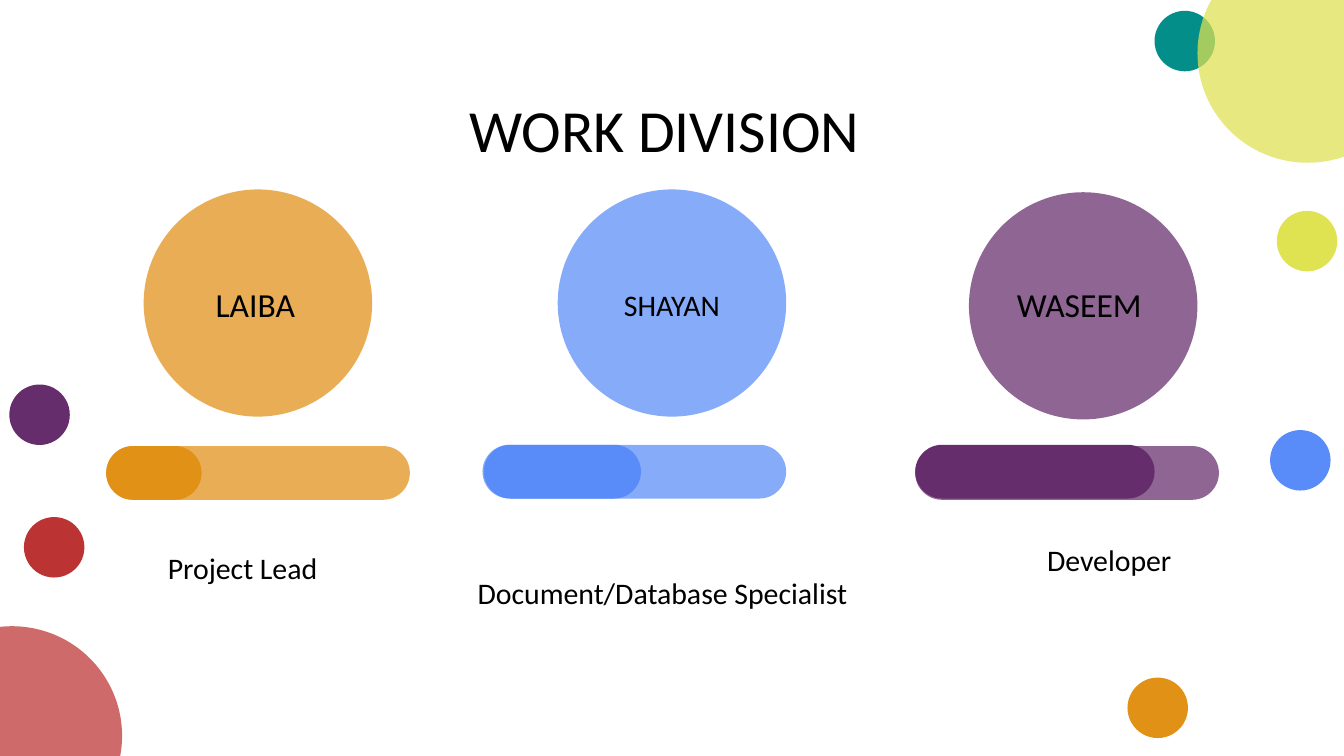
from dataclasses import dataclass

from lxml.etree import SubElement
from pptx import Presentation
from pptx.dml.color import RGBColor
from pptx.enum.shapes import MSO_SHAPE
from pptx.enum.text import MSO_ANCHOR, PP_ALIGN
from pptx.oxml.ns import qn
from pptx.util import Pt


@dataclass(frozen=True)
class Theme:
    font: str = "Calibri"
    ink: str = "000000"
    orange: str = "E19116"
    blue: str = "598CF8"
    purple: str = "652D6B"
    red: str = "BC3334"
    teal: str = "038E8A"
    lime: str = "DFE251"
    heading: int = 32
    name: int = 18
    body: int = 16
    tint: int = 73  # opacity of pale shapes, percent


@dataclass(frozen=True)
class Box:
    left: float
    top: float
    width: float
    height: float

    def within(self, left, top, width, height):
        """Return a box whose offset is measured from this one."""
        return Box(self.left + left, self.top + top, width, height)

    def lengths(self):
        return [Pt(n) for n in (self.left, self.top, self.width, self.height)]


@dataclass(frozen=True)
class Member:
    name: str
    role: str
    color: str
    name_size: int
    share: float       # width of the filled part of the bar
    share_at: tuple    # offsets from the column's corner
    circle_at: tuple
    bar_at: tuple
    name_at: tuple
    role_at: tuple
    role_width: float


THEME = Theme()
SLIDE = Box(0, 0, 720, 405)
DOT = 32.4
BAR_HEIGHT = 28.8
COLUMN_TOP = 101.5

# Each column starts at the left end of its bar
TEAM = [
    (56.9, Member("LAIBA", "Project Lead", THEME.orange, THEME.name, 51.1,
                  (0, 137.5), (20.1, 0), (0, 137.5), (-5.1, 38.9), (-49.7, 193), 245.5)),
    (258.5, Member("SHAYAN", "Document/Database Specialist", THEME.blue, THEME.body, 84.2,
                   (0.7, 136.8), (40.3, 0), (0, 136.8), (16.5, 38.9), (-36.7, 206.5), 266.4)),
    (490.3, Member("WASEEM", "Developer", THEME.purple, THEME.name, 128.2,
                   (0, 136.8), (28.8, 1.5), (0, 137.5), (2.9, 38.9), (-13.7, 188.5), 235.4)),
]


def add_filled(slide, preset, box, color, opacity=100):
    shape = slide.shapes.add_shape(preset, *box.lengths())
    shape.shadow.inherit = False
    shape.line.fill.background()
    shape.fill.solid()
    shape.fill.fore_color.rgb = RGBColor.from_string(color)
    if opacity < 100:
        rgb = shape.fill._xPr.find(qn("a:solidFill")).find(qn("a:srgbClr"))
        SubElement(rgb, qn("a:alpha")).set("val", str(opacity * 1000))
    return shape


def add_pill(slide, box, color, opacity=100):
    add_filled(slide, MSO_SHAPE.ROUNDED_RECTANGLE, box, color, opacity).adjustments[0] = 0.5


def add_text(slide, box, text, size, anchor=MSO_ANCHOR.MIDDLE, inset=7.2):
    frame = slide.shapes.add_textbox(*box.lengths()).text_frame
    frame.word_wrap = True
    frame.vertical_anchor = anchor
    frame.margin_left = frame.margin_right = Pt(7.2)
    frame.margin_top = frame.margin_bottom = Pt(inset)
    paragraph = frame.paragraphs[0]
    paragraph.alignment = PP_ALIGN.CENTER
    run = paragraph.add_run()
    run.text = text
    run.font.name = THEME.font
    run.font.size = Pt(size)
    run.font.color.rgb = RGBColor.from_string(THEME.ink)


def add_dots(slide, box):
    """Small scattered dots and the large one in the bottom left corner."""
    for left, top, color in [
        (680.4, 230.4, THEME.blue), (684, 113, THEME.lime), (12.8, 277, THEME.red),
        (618.5, 5.8, THEME.teal), (604, 363, THEME.orange), (5, 206, THEME.purple),
    ]:
        add_filled(slide, MSO_SHAPE.OVAL, box.within(left, top, DOT, DOT), color)
    add_corner_dot(slide, box.within(-52.6, 335.5, 118, 117.4), THEME.red)


def add_corner_dot(slide, box, color):
    add_filled(slide, MSO_SHAPE.OVAL, box, color, THEME.tint)


def add_member(slide, box, member):
    """Name circle, share bar and role of one person."""
    add_filled(slide, MSO_SHAPE.OVAL, box.within(*member.circle_at, 122.4, 121.7),
               member.color, THEME.tint)
    add_text(slide, box.within(*member.name_at, 170, 45.4), member.name, member.name_size)
    add_pill(slide, box.within(*member.bar_at, box.width, BAR_HEIGHT), member.color, THEME.tint)
    add_pill(slide, box.within(*member.share_at, member.share, BAR_HEIGHT), member.color)
    add_text(slide, box.within(*member.role_at, member.role_width, 46), member.role,
             THEME.body, anchor=MSO_ANCHOR.TOP, inset=0)


def main():
    deck = Presentation()
    deck.slide_width, deck.slide_height = Pt(SLIDE.width), Pt(SLIDE.height)
    slide = deck.slides.add_slide(deck.slide_layouts[6])

    # Background dots
    add_dots(slide, SLIDE)

    # Heading
    add_text(slide, SLIDE.within(52.5, 42.5, 607, 45.4), "WORK DIVISION",
             THEME.heading, anchor=MSO_ANCHOR.TOP)

    # Team columns
    for left, member in TEAM:
        add_member(slide, SLIDE.within(left, COLUMN_TOP, 162.7, 240), member)

    # Front corner dot
    add_corner_dot(slide, SLIDE.within(641.5, -30.2, 118, 117.4), THEME.lime)

    deck.save("out.pptx")


if __name__ == "__main__":
    main()
